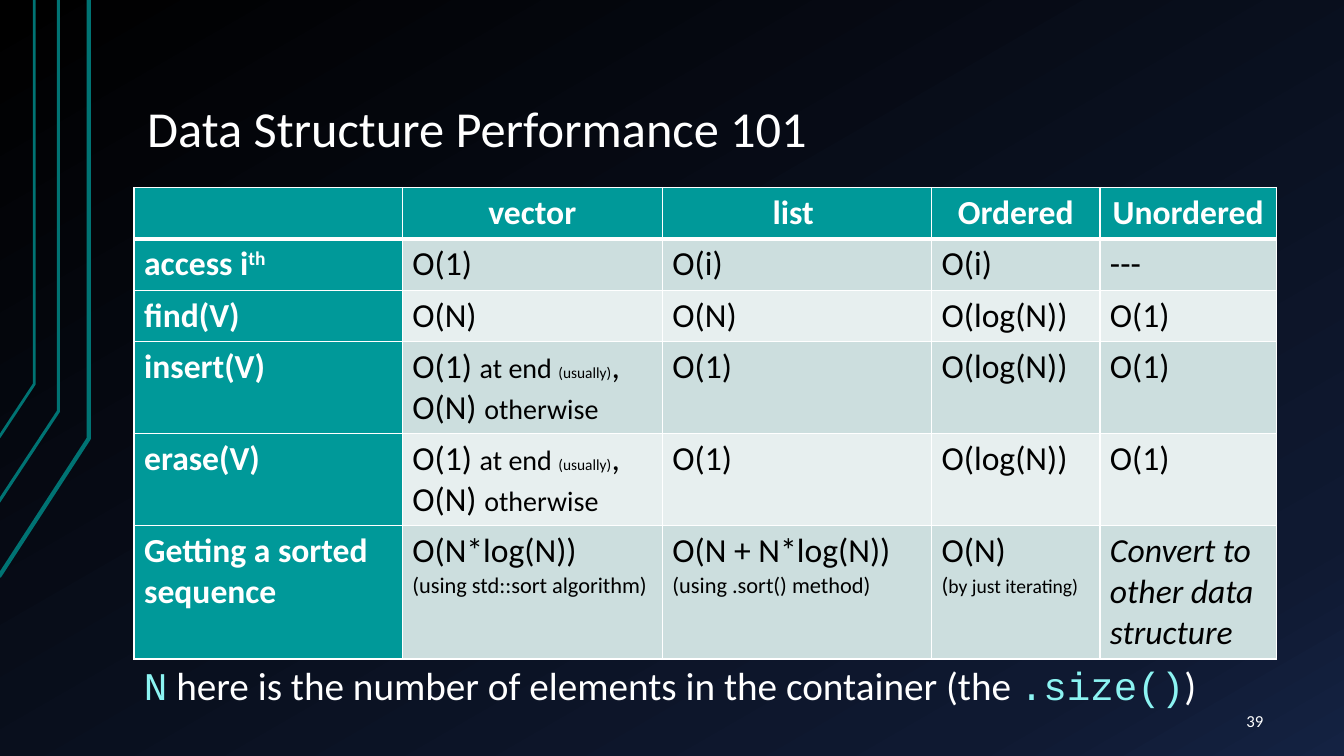
"""Build a slide with a table of container performance."""
from copy import deepcopy

from lxml.etree import SubElement
from pptx import Presentation
from pptx.dml.color import RGBColor
from pptx.enum.text import MSO_ANCHOR as Anchor, PP_ALIGN as Align
from pptx.oxml.ns import qn
from pptx.util import Inches, Pt

COLORS = {
    "white": "FFFFFF", "black": "000000", "teal": "009999", "stroke": "007373",
    "band": "CCDEDE", "light": "E7EFEF", "code": "8CF4F2",
    "navy": "0F1931", "blue": "142242",
}


def color(name):
    return RGBColor.from_string(COLORS[name])


class SlideBuilder:
    """Hold the style and the current slide."""

    font = "Calibri"

    def __init__(self, deck):
        self.page = deck.slides.add_slide(deck.slide_layouts[5])

    def background(self, stops, angle):
        fill = self.page.background.fill
        fill.gradient()
        fill.gradient_angle = 360 - angle
        stop_list = self.page._element.find(".//" + qn("a:gsLst"))
        while len(stop_list) < len(stops):
            stop_list.append(deepcopy(stop_list[0]))
        for stop, (position, name) in zip(fill.gradient_stops, stops):
            stop.position = position
            stop.color.rgb = color(name)

    def stroke(self, points, width):
        start, *others = [(Inches(x), Inches(y)) for x, y in points]
        builder = self.page.shapes.build_freeform(*start)
        builder.add_line_segments(others, close=False)
        shape = builder.convert_to_shape()
        shape.shadow.inherit = False
        shape.fill.background()
        shape.line.color.rgb = color("stroke")
        shape.line.width = Pt(width)

    def fill_para(self, para, spans, size, name="white", bold=None, align=Align.LEFT):
        para.alignment = align
        para.font.name = self.font
        para.font.size = Pt(size)
        para.font.bold = bold
        para.font.color.rgb = color(name)
        for text, style in spans:
            span = para.add_run()
            span.text = text.rstrip("\n")
            if "size" in style:
                span.font.size = Pt(style["size"])
            if "italic" in style:
                span.font.italic = True
            if "raised" in style:
                span.font._element.set("baseline", "30000")
            if "code" in style:
                span.font.name = "Courier New"
                span.font.color.rgb = color("code")
            if text.endswith("\n"):
                para.add_line_break()

    def place(self, box, area, anchor, margins=(0.13, 0.07)):
        box.left, box.top, box.width, box.height = map(Inches, area)
        frame = box.text_frame
        frame.word_wrap = True
        frame.vertical_anchor = anchor
        frame.margin_left = frame.margin_right = Inches(margins[0])
        frame.margin_top = frame.margin_bottom = Inches(margins[1])
        return frame.paragraphs[0]

    def title(self, text, area, size):
        para = self.place(self.page.shapes.title, area, Anchor.BOTTOM)
        para.line_spacing = 0.9
        self.fill_para(para, [(text, {})], size)

    def text(self, spans, area, size, anchor=Anchor.TOP, align=Align.LEFT, **options):
        box = self.page.shapes.add_textbox(0, 0, 0, 0)
        para = self.place(box, area, anchor, **options)
        self.fill_para(para, spans, size, align=align)

    def borders(self, cell, widths):
        properties = cell._tc.get_or_add_tcPr()
        for side, width in zip("LRTB", widths):
            line = SubElement(properties, qn(f"a:ln{side}"), w=str(Pt(width)))
            fill = SubElement(line, qn("a:solidFill"))
            SubElement(fill, qn("a:srgbClr"), val=COLORS["white"])

    def table(self, rows, left, top, widths, heights, size):
        grid = self.page.shapes.add_table(
            len(rows), len(widths), Inches(left), Inches(top),
            Inches(sum(widths)), Inches(sum(heights))).table
        for column, width in zip(grid.columns, widths):
            column.width = Inches(width)
        for r, (row, height) in enumerate(zip(rows, heights)):
            grid.rows[r].height = Inches(height)
            for c, content in enumerate(row):
                cell = grid.cell(r, c)
                heading = r == 0 or c == 0
                self.borders(cell, (1, 1, 3 if r == 1 else 1, 3 if r == 0 else 1))
                cell.fill.solid()
                cell.fill.fore_color.rgb = color(
                    "teal" if heading else "band" if r % 2 else "light")
                paragraphs = [[(content, {})]] if isinstance(content, str) else content
                for p, spans in enumerate(paragraphs):
                    frame = cell.text_frame
                    para = frame.add_paragraph() if p else frame.paragraphs[0]
                    self.fill_para(para, spans, size, "white" if heading else "black",
                                   heading, Align.CENTER if r == 0 else Align.LEFT)


def with_note(cost, *notes):
    return [[(cost + "\n", {})] + [(text, {"size": size}) for text, size in notes]]


END_COST = [
    [("O(1) ", {}), ("at end ", {"size": 20}), ("(usually)", {"size": 11}), (", ", {})],
    [("O(N) ", {}), ("otherwise", {"size": 20})],
]
ROWS = [
    ["", "vector", "list ", "Ordered", "Unordered"],
    [[[("access i", {}), ("th", {"raised": True})]], "O(1)", "O(i)", "O(i)", "---"],
    ["find(V)", "O(N)", "O(N)", "O(log(N))", "O(1)"],
    ["insert(V) ", END_COST, "O(1)", "O(log(N))", "O(1)"],
    ["erase(V)", END_COST, "O(1)", "O(log(N))", "O(1)"],
    ["Getting a sorted sequence",
     with_note("O(N*log(N))", ("(using std::sort algorithm)", 16)),
     with_note("O(N + N*log(N))", ("(using .sort() method)", 16)),
     with_note("O(N) ", ("(", 16), ("by just iterating)", 14)),
     [[("Convert to other data structure", {"italic": True})]]],
]
STROKES = [
    ([(-0.01, 5.72), (0.88, 4.35), (0.88, 0)], 3),
    ([(-0.02, 4.99), (0.58, 4.08), (0.58, 0)], 2.25),
    ([(-0.01, 4.34), (0.34, 3.81), (0.34, 0)], 2),
]

deck = Presentation()
deck.slide_width, deck.slide_height = Inches(13.33), Inches(7.5)
slide = SlideBuilder(deck)
slide.background([(0, "black"), (0.85, "navy"), (1, "blue")], 60)
for points, width in STROKES:
    slide.stroke(points, width)
slide.title("Data Structure Performance 101", (1.33, 0.3, 11.33, 1.34), 36)
slide.table(ROWS, 1.33, 1.86, [2.66, 2.58, 2.67, 1.67, 1.75],
            [0.51, 0.51, 0.51, 0.91, 0.91, 1.32], 24)
slide.text([("39", {})], (11.55, 6.95, 1.11, 0.4), 12, Anchor.MIDDLE, Align.RIGHT)
slide.text([("N", {"code": True}),
            (" here is the number of elements in the container (the ", {}),
            (".size()", {"code": True}), (")", {})],
           (1.33, 6.51, 11.33, 0.57), 28, margins=(0.1, 0.05))
deck.save("out.pptx")
